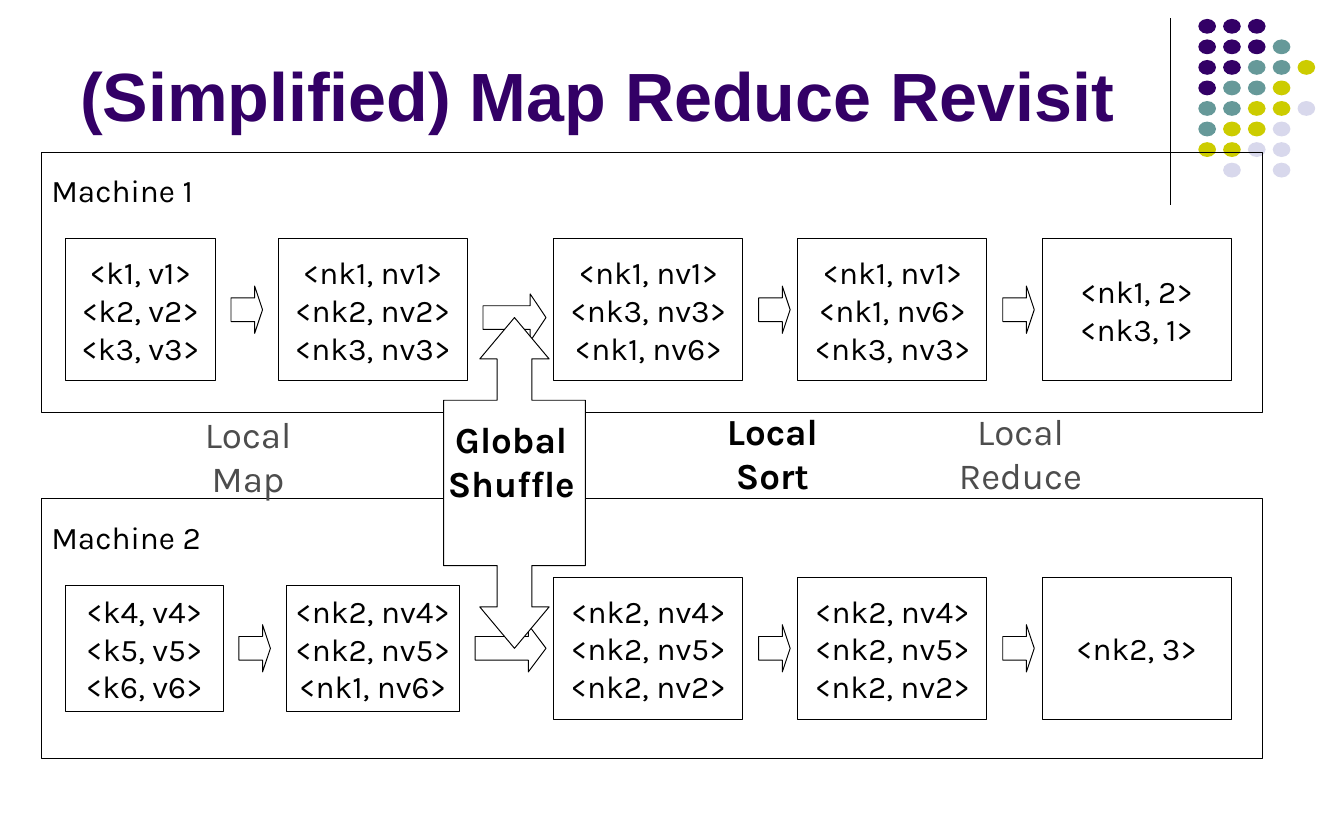
from dataclasses import dataclass

from lxml.etree import SubElement
from pptx import Presentation
from pptx.dml.color import RGBColor as Rgb
from pptx.enum.shapes import MSO_CONNECTOR as Connector, MSO_SHAPE as Preset
from pptx.enum.text import MSO_ANCHOR as Anchor, MSO_AUTO_SIZE as AutoSize, PP_ALIGN as Align
from pptx.oxml.ns import qn
from pptx.util import Pt


@dataclass(frozen=True)
class Theme:
    purple: Rgb = Rgb(0x33, 0x00, 0x66)
    teal: Rgb = Rgb(0x66, 0x99, 0x99)
    olive: Rgb = Rgb(0xCC, 0xCC, 0x00)
    lavender: Rgb = Rgb(0xD8, 0xD8, 0xEC)
    black: Rgb = Rgb(0x00, 0x00, 0x00)
    grey: Rgb = Rgb(0x4D, 0x4D, 0x4D)
    white: Rgb = Rgb(0xFF, 0xFF, 0xFF)
    title_font: str = "Arial"
    body_font: str = "Karla"
    title_size: int = 52
    label_size: int = 28
    body_size: int = 24
    line_width: float = 0.75


THEME = Theme()

DOT_ROWS = ["PPP", "PPPT", "PPTTO", "PTTO", "TTOOL", "TOOL", "OOLL", " L L"]
DOT_COLORS = {"P": THEME.purple, "T": THEME.teal, "O": THEME.olive, "L": THEME.lavender}

MACHINES = [("Machine 1", 116), ("Machine 2", 380)]

BLOCKS = [
    (50, 182, 114, 108, "<k1, v1>\n<k2, v2>\n<k3, v3>"),
    (212, 182, 144, 108, "<nk1, nv1>\n<nk2, nv2>\n<nk3, nv3>"),
    (422, 182, 144, 108, "<nk1, nv1>\n<nk3, nv3>\n<nk1, nv6>"),
    (608, 182, 144, 108, "<nk1, nv1>\n<nk1, nv6>\n<nk3, nv3>"),
    (794, 182, 144, 108, "<nk1, 2>\n<nk3, 1>"),
    (50, 446, 120, 96, "<k4, v4>\n<k5, v5>\n<k6, v6>"),
    (218, 446, 132, 96, "<nk2, nv4>\n<nk2, nv5>\n<nk1, nv6>"),
    (422, 440, 144, 108, "<nk2, nv4>\n<nk2, nv5>\n<nk2, nv2>"),
    (608, 440, 144, 108, "<nk2, nv4>\n<nk2, nv5>\n<nk2, nv2>"),
    (794, 440, 144, 108, "<nk2, 3>"),
]

ARROWS = [
    (176, 218, 24), (368, 224, 48), (578, 218, 24), (764, 218, 24),
    (182, 476, 24), (362, 476, 54), (578, 476, 24), (764, 476, 24),
]

STEP_LABELS = [
    ("Local\nMap", 148, 310, 82, False),
    ("Global\nShuffle", 333, 314, 113, True),
    ("Local\nSort", 545, 308, 87, True),
    ("Local\nReduce", 722, 308, 111, False),
]


def write(shape, text, size, color=THEME.black, bold=False, align=Align.CENTER, font=THEME.body_font):
    shape.text_frame.text = text
    for paragraph in shape.text_frame.paragraphs:
        paragraph.alignment = align
        for run in paragraph.runs:
            run.font.name = font
            run.font.size = Pt(size)
            run.font.bold = bold
            run.font.color.rgb = color


def outline(shape):
    shape.shadow.inherit = False
    shape.line.color.rgb = THEME.black
    shape.line.width = Pt(THEME.line_width)


def fill_white(shape, opacity=100):
    shape.fill.solid()
    shape.fill.fore_color.rgb = THEME.white
    if opacity < 100:
        color = shape.fill._xPr.find(qn("a:solidFill"))[0]
        SubElement(color, qn("a:alpha")).set("val", str(opacity * 1000))


def add_preset(slide, preset, left, top, width, height):
    return slide.shapes.add_shape(preset, Pt(left), Pt(top), Pt(width), Pt(height))


def add_title(slide, text):
    title = slide.shapes.title
    title.left, title.top, title.width, title.height = Pt(61), Pt(39), Pt(824), Pt(64)
    frame = title.text_frame
    frame.auto_size = AutoSize.NONE
    frame.vertical_anchor = Anchor.BOTTOM
    frame.margin_left = frame.margin_right = frame.margin_top = frame.margin_bottom = 0
    write(title, text, THEME.title_size, THEME.purple, True, Align.LEFT, THEME.title_font)


def add_corner_rule(slide):
    rule = slide.shapes.add_connector(Connector.STRAIGHT, Pt(892), Pt(14), Pt(892), Pt(156))
    rule.line.color.rgb = THEME.black
    rule.line.width = Pt(THEME.line_width)
    SubElement(rule._element.spPr, qn("a:effectLst"))


def add_dots(slide):
    for row, codes in enumerate(DOT_ROWS):
        for column, code in enumerate(codes):
            if code in DOT_COLORS:
                dot = add_preset(slide, Preset.OVAL, 913 + 18.9 * column, 14.4 + 15.65 * row, 13.5, 11.3)
                dot.shadow.inherit = False
                dot.fill.solid()
                dot.fill.fore_color.rgb = DOT_COLORS[code]
                dot.line.fill.background()


def add_machine(slide, name, top):
    machine = add_preset(slide, Preset.RECTANGLE, 32, top, 930, 198)
    outline(machine)
    machine.fill.background()
    machine.text_frame.vertical_anchor = Anchor.TOP
    machine.text_frame.margin_top = Pt(14.5)
    write(machine, name, THEME.body_size, align=Align.LEFT)


def add_block(slide, left, top, width, height, pairs):
    block = add_preset(slide, Preset.RECTANGLE, left, top, width, height)
    outline(block)
    fill_white(block, 50)
    block.text_frame.word_wrap = False
    block.text_frame.vertical_anchor = Anchor.MIDDLE
    write(block, pairs, THEME.body_size)


def add_arrow(slide, left, top, width):
    height = 36
    arrow = add_preset(slide, Preset.RIGHT_ARROW, left, top, width, height)
    arrow.adjustments[0] = 0.5
    arrow.adjustments[1] = width / 4 / min(width, height)
    outline(arrow)
    fill_white(arrow)


def add_shuffle_arrow(slide):
    center_x, center_y = 392, 368
    upper_right = [(0, -126), (26.4, -94.5), (13.2, -94.5), (13.2, -63), (54, -63)]
    right = upper_right + [(x, -y) for x, y in reversed(upper_right)]
    left = [(-x, y) for x, y in reversed(right[1:-1])]
    points = [(Pt(center_x + x), Pt(center_y + y)) for x, y in right + left]
    builder = slide.shapes.build_freeform(*points[0])
    builder.add_line_segments(points[1:], close=True)
    shuffle = builder.convert_to_shape()
    outline(shuffle)
    fill_white(shuffle)


def add_step_label(slide, text, left, top, width, active):
    label = slide.shapes.add_textbox(Pt(left), Pt(top), Pt(width), Pt(75))
    label.text_frame.word_wrap = False
    write(label, text, THEME.label_size, THEME.black if active else THEME.grey, active)


def main():
    presentation = Presentation()
    presentation.slide_width, presentation.slide_height = Pt(1024), Pt(640)
    slide = presentation.slides.add_slide(presentation.slide_layouts[5])
    add_title(slide, "(Simplified) Map Reduce Revisit")
    add_corner_rule(slide)
    add_dots(slide)
    for machine in MACHINES:
        add_machine(slide, *machine)
    for block in BLOCKS:
        add_block(slide, *block)
    for arrow in ARROWS:
        add_arrow(slide, *arrow)
    add_shuffle_arrow(slide)
    for label in STEP_LABELS:
        add_step_label(slide, *label)
    presentation.save("out.pptx")


if __name__ == "__main__":
    main()
